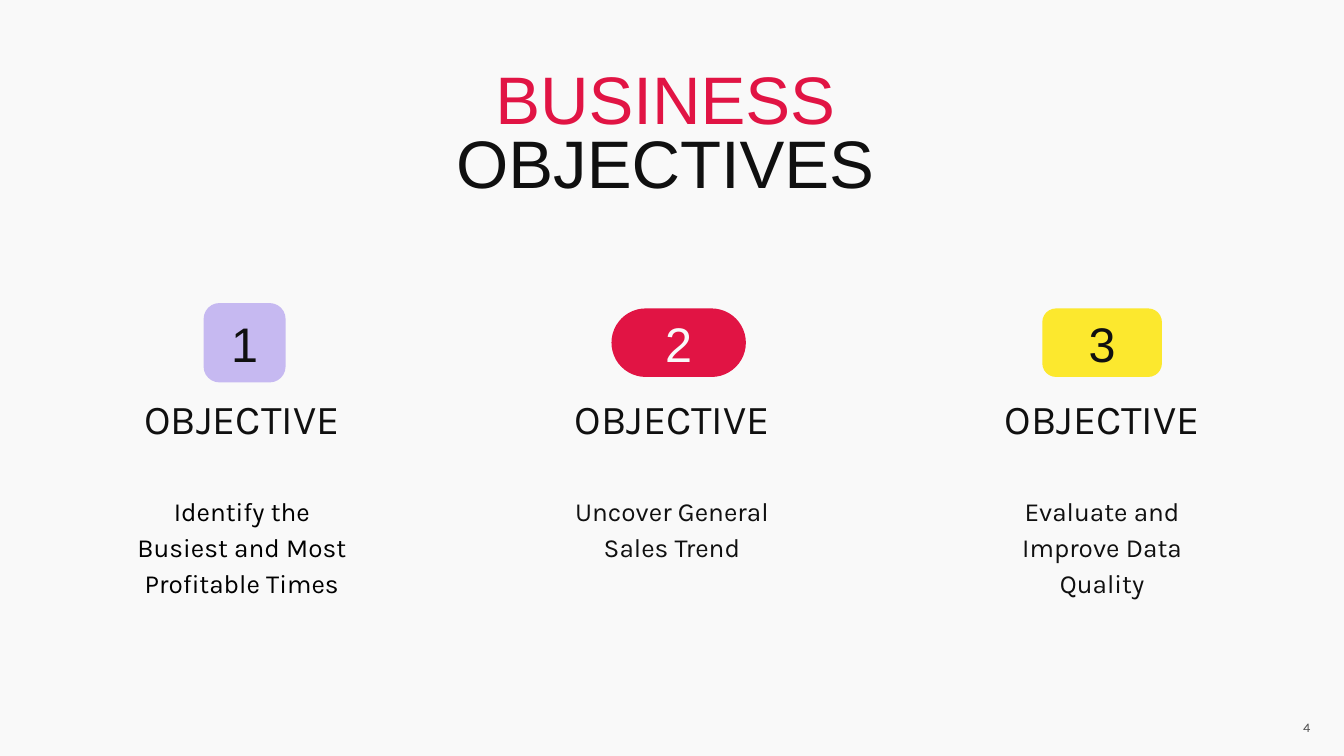
from pptx import Presentation
from pptx.dml.color import RGBColor
from pptx.enum.shapes import MSO_SHAPE as Shape
from pptx.enum.text import MSO_ANCHOR as Anchor, PP_ALIGN as Align
from pptx.util import Inches, Pt

COLORS = {
    "paper": "F9F9F9", "ink": "101010", "black": "000000", "gray": "4E4E4E",
    "lilac": "C6B9F1", "red": "E11444", "yellow": "FCE82E",
}

# badge: offset from column centre, width, height, corner, fill, text colour
GOALS = [
    ("1", (0.02, 0.61, 0.59, 0.2, "lilac", "ink"),
     "Identify the Busiest and Most Profitable Times", "black"),
    ("2", (0.05, 1, 0.51, 0.5, "red", "paper"),
     "Uncover General Sales Trend", "ink"),
    ("3", (0, 0.89, 0.51, 0.2, "yellow", "ink"),
     "Evaluate and Improve Data Quality", "ink"),
]


def color(name):
    return RGBColor.from_string(COLORS[name])


def write(frame, lines, size, font, align=Align.CENTER, spacing=1.0,
          inset=(0.1, 0.1, 0.1, 0.1)):
    """Fill a text frame with one paragraph per (text, colour) line."""
    frame.word_wrap = True
    (frame.margin_left, frame.margin_top,
     frame.margin_right, frame.margin_bottom) = map(Inches, inset)
    for i, (text, hue) in enumerate(lines):
        para = frame.add_paragraph() if i else frame.paragraphs[0]
        para.alignment = align
        para.line_spacing = spacing
        run = para.add_run()
        run.text = text
        run.font.size = Pt(size)
        run.font.name = font
        run.font.color.rgb = color(hue)


def add_text(slide, box, lines, size, font, **style):
    frame = slide.shapes.add_textbox(*map(Inches, box)).text_frame
    write(frame, lines, size, font, **style)


def add_badge(slide, mid, middle, label, look):
    """Draw a numbered badge centred near the point (mid, middle)."""
    shift, width, height, corner, fill, hue = look
    badge = slide.shapes.add_shape(
        Shape.ROUNDED_RECTANGLE, Inches(mid + shift - width / 2),
        Inches(middle - height / 2), Inches(width), Inches(height))
    badge.shadow.inherit = False
    badge.adjustments[0] = corner
    badge.fill.solid()
    badge.fill.fore_color.rgb = color(fill)
    badge.line.fill.background()
    badge.text_frame.vertical_anchor = Anchor.MIDDLE
    write(badge.text_frame, [(label, hue)], 26, "Arial")
    badge.text_frame.paragraphs[0].space_after = Pt(3)


def add_goal(slide, left, top, width, goal):
    label, look, text, hue = goal
    mid = left + width / 2
    add_badge(slide, mid, top + 0.29, label, look)
    add_text(slide, (left, top + 0.7, width, 0.59), [("OBJECTIVE", "ink")],
             22, "Karla", spacing=0.6)
    add_text(slide, (mid - 0.96, top + 1.39, 1.92, 0.96), [(text, hue)],
             14, "Karla", spacing=1.15, inset=(0.1, 0, 0.1, 0.1))


def add_goals(slide, left, top, width, gap):
    for i, goal in enumerate(GOALS):
        add_goal(slide, left + i * (width + gap), top, width, goal)


def main():
    deck = Presentation()
    deck.slide_width = Inches(10)
    deck.slide_height = deck.slide_width * 9 // 16
    slide = deck.slides.add_slide(deck.slide_layouts[6])
    slide.background.fill.solid()
    slide.background.fill.fore_color.rgb = color("paper")

    add_text(slide, (0.25, 0.44, 9.5, 0.68),
             [("BUSINESS", "red"), ("OBJECTIVES", "ink")], 36, "Arial",
             spacing=0.8, inset=(0, 0.1, 0.1, 0))
    add_goals(slide, left=0.25, top=2.26, width=3.1, gap=0.1)
    add_text(slide, (9, 5.25, 0.75, 0.23), [("4", "gray")], 7, "Karla",
             align=Align.RIGHT, inset=(0, 0.1, 0, 0))
    deck.save("out.pptx")


if __name__ == "__main__":
    main()
